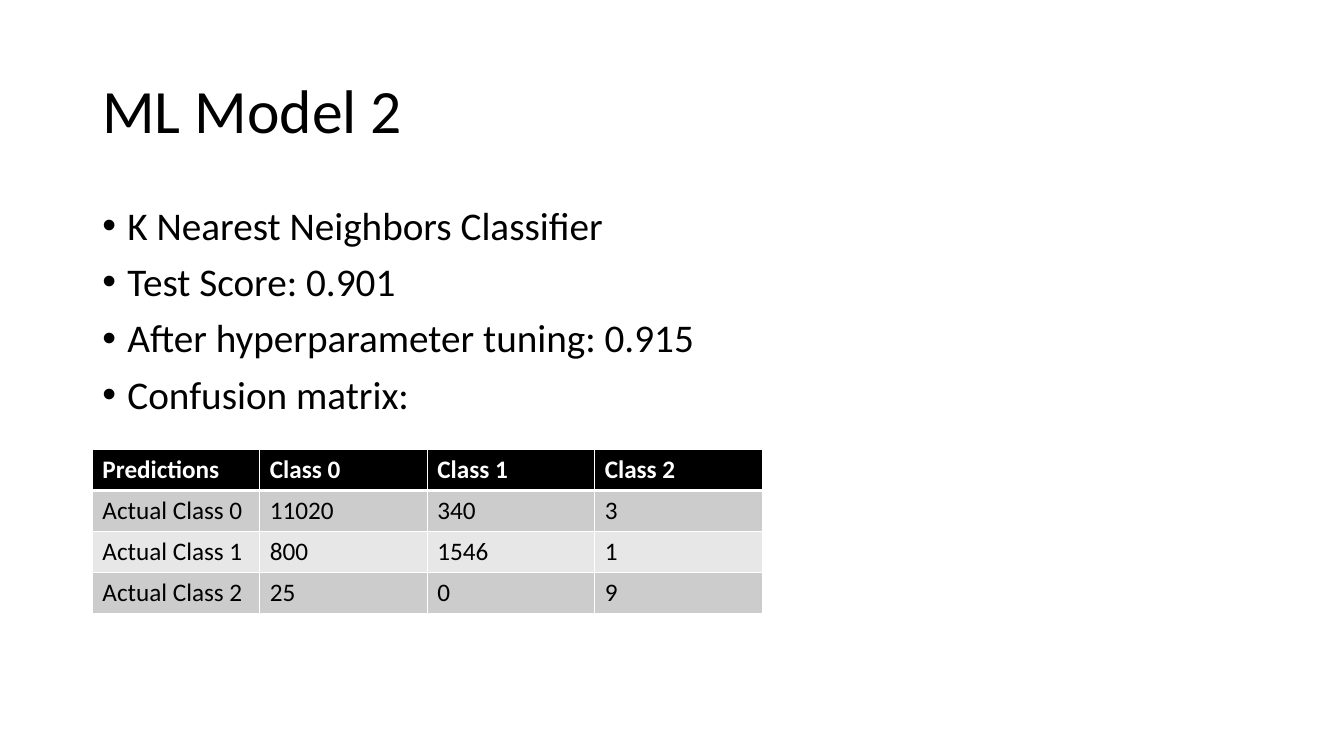
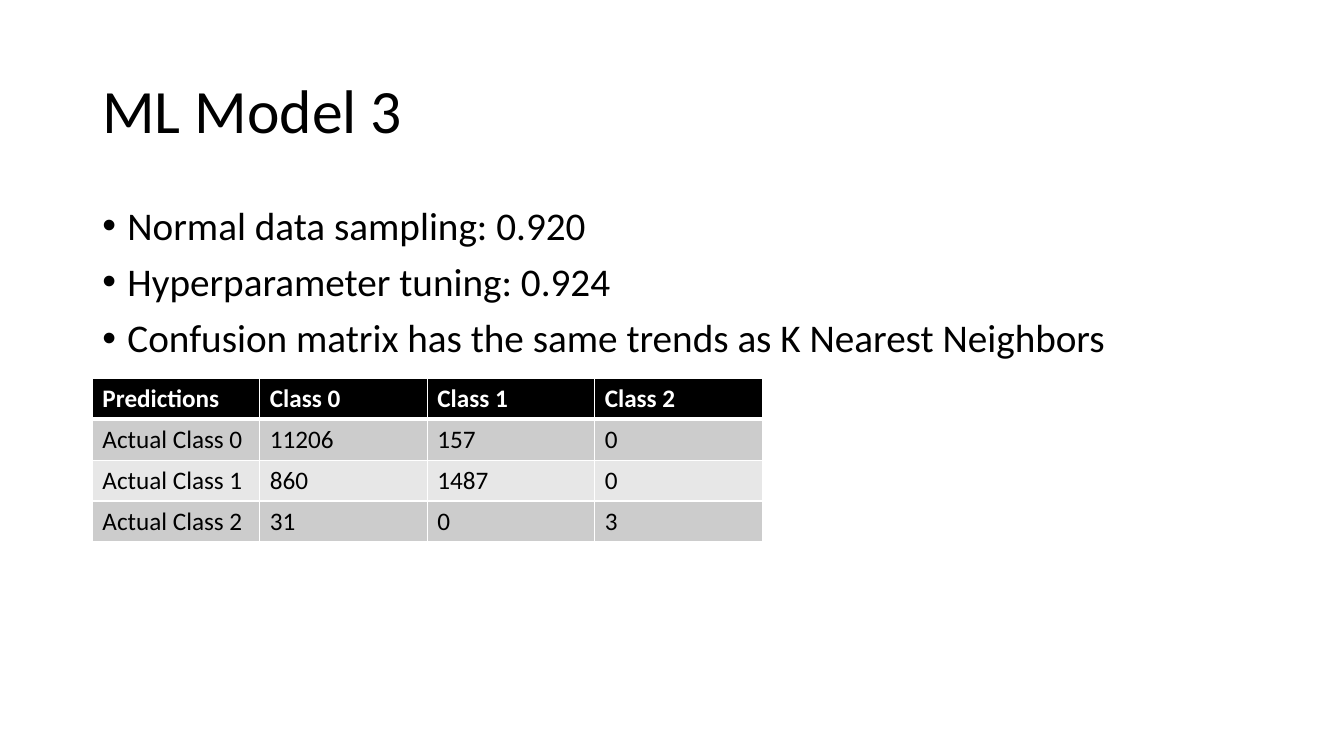
from dataclasses import dataclass

from lxml import etree
from pptx import Presentation
from pptx.dml.color import RGBColor
from pptx.enum.text import MSO_ANCHOR
from pptx.oxml.ns import qn
from pptx.util import Pt

MIDDLE, TOP = MSO_ANCHOR.MIDDLE, MSO_ANCHOR.TOP


@dataclass(frozen=True)
class Theme:
    """Colours, type sizes and shared measures in points."""

    font: str = "Calibri"
    bullet_font: str = "Arial"
    black: str = "000000"
    white: str = "FFFFFF"
    bands: tuple = ("CCCCCC", "E7E7E7")
    title_size: int = 44
    body_size: int = 28
    table_size: int = 18
    left: float = 66
    width: float = 828
    title_top: float = 28.8
    title_height: float = 104.4
    body_top: float = 143.75
    indent: float = 18
    column_width: float = 119.6
    row_height: float = 29.2
    thin: float = 1
    thick: float = 3


class SlideBuilder:
    """Adds styled elements to the current slide."""

    def __init__(self, deck, theme):
        """Keep the deck and its theme."""
        self.deck = deck
        self.theme = theme
        self.page = None

    def new_page(self):
        """Start a blank slide with a white background."""
        self.page = self.deck.slides.add_slide(self.deck.slide_layouts[6])
        fill = self.page.background.fill
        fill.solid()
        fill.fore_color.rgb = RGBColor.from_string(self.theme.white)

    def style(self, para, size, color, bold=False):
        """Format every run of a paragraph."""
        for span in para.runs:
            span.font.name = self.theme.font
            span.font.size = Pt(size)
            span.font.bold = bold
            span.font.color.rgb = RGBColor.from_string(color)

    def text(self, lines, top, height, size, anchor=TOP):
        """Add a full-width text box and return its paragraphs."""
        theme = self.theme
        box = self.page.shapes.add_textbox(
            Pt(theme.left), Pt(top), Pt(theme.width), Pt(height))
        frame = box.text_frame
        frame.word_wrap = True
        frame.vertical_anchor = anchor
        frame.text = "\n".join(lines)
        for para in frame.paragraphs:
            para.line_spacing = 0.9
            self.style(para, size, theme.black)
        return frame.paragraphs

    def title(self, words):
        """Add the slide title."""
        theme = self.theme
        self.text([words], theme.title_top, theme.title_height,
                  theme.title_size, MIDDLE)

    def bullets(self, lines, height):
        """Add the bulleted body text."""
        theme = self.theme
        for para in self.text(lines, theme.body_top, height, theme.body_size):
            para.space_before = Pt(10)
            properties = para._p.get_or_add_pPr()
            properties.set("marL", str(Pt(theme.indent)))
            properties.set("indent", str(-Pt(theme.indent)))
            etree.SubElement(properties, qn("a:buFont"),
                             typeface=theme.bullet_font)
            etree.SubElement(properties, qn("a:buChar"), char="•")

    def borders(self, cell, top, bottom):
        """Draw white borders on a cell, with given top and bottom widths."""
        thin = self.theme.thin
        properties = cell._tc.get_or_add_tcPr()
        for side, width in zip("LRTB", (thin, thin, top, bottom)):
            line = etree.SubElement(properties, qn(f"a:ln{side}"),
                                    w=str(Pt(width)))
            fill = etree.SubElement(line, qn("a:solidFill"))
            etree.SubElement(fill, qn("a:srgbClr"), val=self.theme.white)

    def cell(self, cell, value, row):
        """Fill and format one cell according to its row."""
        theme = self.theme
        header = row == 0
        self.borders(cell, theme.thick if row == 1 else theme.thin,
                     theme.thick if header else theme.thin)
        cell.fill.solid()
        cell.fill.fore_color.rgb = RGBColor.from_string(
            theme.black if header else theme.bands[(row - 1) % 2])
        cell.text = str(value)
        self.style(cell.text_frame.paragraphs[0], theme.table_size,
                   theme.white if header else theme.black, header)

    def confusion_matrix(self, counts, top):
        """Add a table of actual classes against predicted classes."""
        theme = self.theme
        size = len(counts) + 1
        rows = [["Predictions"] + [f"Class {i}" for i in range(size - 1)]]
        rows += [[f"Actual Class {i}", *row] for i, row in enumerate(counts)]
        table = self.page.shapes.add_table(
            size, size, Pt(theme.left), Pt(top),
            Pt(size * theme.column_width), Pt(size * theme.row_height)).table
        for column in table.columns:
            column.width = Pt(theme.column_width)
        for row, values in enumerate(rows):
            table.rows[row].height = Pt(theme.row_height)
            for column, value in enumerate(values):
                self.cell(table.cell(row, column), value, row)


MODELS = [
    ("ML Model 2",
     ["K Nearest Neighbors Classifier", "Test Score: 0.901",
      "After hyperparameter tuning: 0.915", "Confusion matrix:"],
     [[11020, 340, 3], [800, 1546, 1], [25, 0, 9]],
     321.25),
    ("ML Model 3",
     ["Normal data sampling: 0.920", "Hyperparameter tuning: 0.924",
      "Confusion matrix has the same trends as K Nearest Neighbors"],
     [[11206, 157, 0], [860, 1487, 0], [31, 0, 3]],
     270.25),
]


def main():
    """Build one slide per model and save the deck."""
    deck = Presentation()
    deck.slide_width, deck.slide_height = Pt(960), Pt(540)
    builder = SlideBuilder(deck, Theme())
    for title, lines, counts, table_top in MODELS:
        builder.new_page()
        builder.title(title)
        builder.bullets(lines, table_top - builder.theme.body_top)
        builder.confusion_matrix(counts, table_top)
    deck.save("out.pptx")


main()
